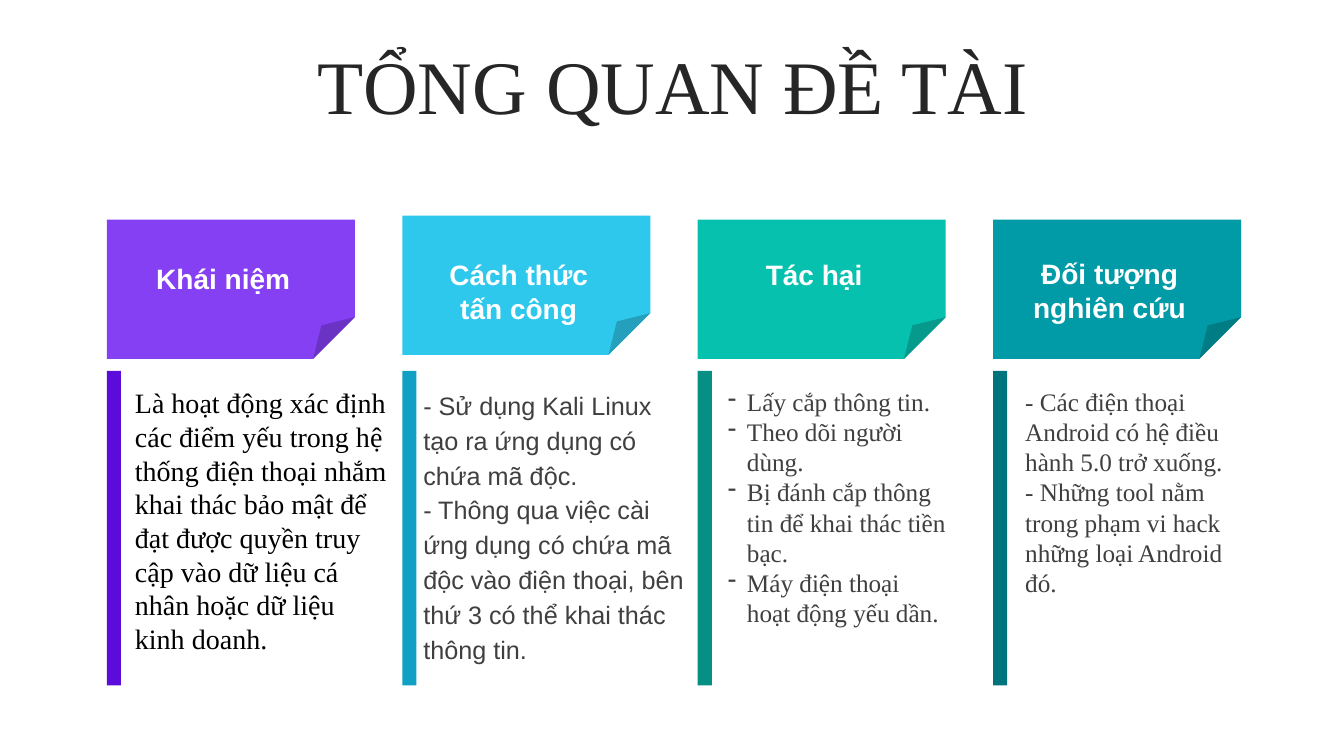
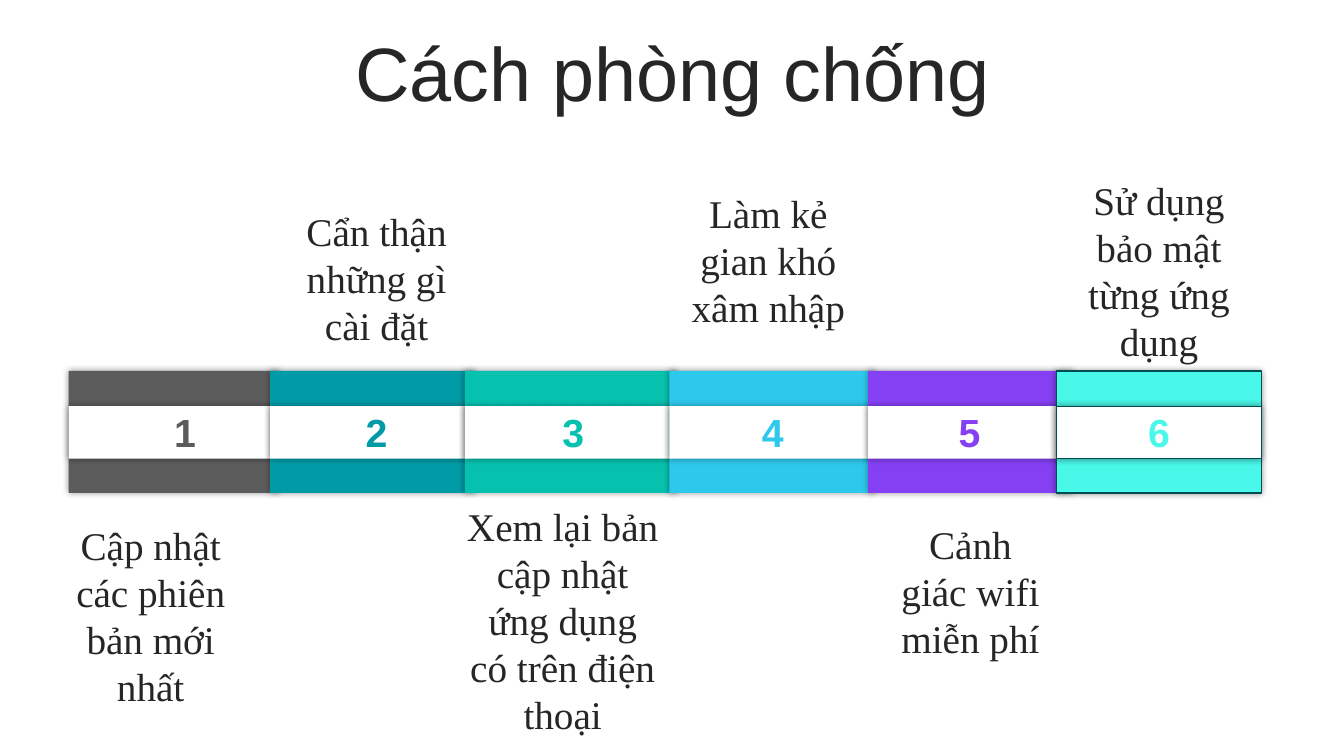
from dataclasses import dataclass

from lxml import etree
from pptx import Presentation
from pptx.dml.color import RGBColor
from pptx.enum.shapes import MSO_SHAPE
from pptx.enum.text import MSO_ANCHOR, PP_ALIGN
from pptx.oxml.ns import qn
from pptx.util import Inches, Pt

RECTANGLE = MSO_SHAPE.RECTANGLE
FOLDED_CORNER = MSO_SHAPE.FOLDED_CORNER
LEFT = PP_ALIGN.LEFT
CENTER = PP_ALIGN.CENTER
TOP = MSO_ANCHOR.TOP
MIDDLE = MSO_ANCHOR.MIDDLE
BLANK_LAYOUT = 6


@dataclass(frozen=True)
class Theme:
    sans: str = "Arial"
    serif: str = "Times New Roman"
    white: str = "FFFFFF"
    black: str = "000000"
    ink: str = "262626"
    body: str = "3F3F3F"
    gray: str = "5C5C5C"
    purple: str = "8540F4"
    dark_purple: str = "5B0CDA"
    sky: str = "2EC8ED"
    dark_sky: str = "10A0C3"
    green: str = "07C1AF"
    dark_green: str = "059083"
    teal: str = "019BA7"
    dark_teal: str = "00747D"
    mint: str = "4AF8E9"
    outline: str = "004D53"
    title_size: int = 54
    step_size: int = 28
    heading_size: int = 20
    body_size: int = 18


THEME = Theme()


class Deck:
    def __init__(self, theme):
        self.theme = theme
        self.presentation = Presentation()
        self.presentation.slide_width = Inches(13.33)
        self.presentation.slide_height = Inches(7.5)
        self.slide = None

    def add_slide(self, title, font, title_top):
        layout = self.presentation.slide_layouts[BLANK_LAYOUT]
        self.slide = self.presentation.slides.add_slide(layout)
        self.text((0.34, title_top, 12.66, 0.79), [title], font, self.theme.title_size,
                  self.theme.ink, align=CENTER, anchor=MIDDLE, spacing=0.9)

    def text(self, box, lines, font, size, color, bold=False, align=LEFT,
             anchor=TOP, spacing=None, dashed=False):
        shape = self.slide.shapes.add_textbox(*map(Inches, box))
        frame = shape.text_frame
        frame.word_wrap = True
        frame.vertical_anchor = anchor
        for index, line in enumerate(lines):
            paragraph = frame.add_paragraph() if index else frame.paragraphs[0]
            paragraph.text = line
            paragraph.alignment = align
            if spacing:
                paragraph.line_spacing = spacing
            if dashed:
                self.add_dash(paragraph)
            paragraph.font.name = font
            paragraph.font.size = Pt(size)
            paragraph.font.bold = bold
            paragraph.font.color.rgb = RGBColor.from_string(color)

    def add_dash(self, paragraph):
        properties = paragraph._p.get_or_add_pPr()
        indent = Inches(0.19)
        properties.set("marL", str(indent))
        properties.set("indent", str(-indent))
        etree.SubElement(properties, qn("a:buChar"), char="-")

    def block(self, box, fill, kind=RECTANGLE, line=None, shadow=False):
        shape = self.slide.shapes.add_shape(kind, *map(Inches, box))
        shape.fill.solid()
        shape.fill.fore_color.rgb = RGBColor.from_string(fill)
        if line:
            shape.line.color.rgb = RGBColor.from_string(line)
            shape.line.width = Pt(1)
        else:
            shape.line.fill.background()
        shape.shadow.inherit = False
        if shadow:
            self.add_glow(shape)
        return shape

    def add_glow(self, shape):
        effects = shape._element.spPr.find(qn("a:effectLst"))
        outer = etree.SubElement(effects, qn("a:outerShdw"), blurRad=str(Pt(5)),
                                 dist="0", dir="0", algn="ctr", rotWithShape="0")
        color = etree.SubElement(outer, qn("a:srgbClr"), val=self.theme.black)
        etree.SubElement(color, qn("a:alpha"), val="40000")

    def set_fold(self, shape, ratio):
        geometry = shape._element.spPr.find(qn("a:prstGeom"))
        guides = geometry.find(qn("a:avLst"))
        if guides is None:
            guides = etree.SubElement(geometry, qn("a:avLst"))
        etree.SubElement(guides, qn("a:gd"), name="adj", fmla=f"val {round(ratio * 100000)}")

    def card(self, left, top, fill, bar_fill, heading, heading_top):
        card = self.block((left, top, 2.46, 1.38), fill, FOLDED_CORNER)
        self.set_fold(card, 0.3)
        self.block((left, 3.68, 0.14, 3.12), bar_fill)
        self.text((left + 0.14, heading_top, 2.03, 0.77), [heading], self.theme.sans,
                  self.theme.heading_size, self.theme.white, bold=True, align=CENTER)

    def step(self, number, left, width, color, number_left, caption, caption_box, line=None):
        theme = self.theme
        self.block((left, 3.68, width, 1.21), color, line=line, shadow=True)
        self.block((left, 4.03, width, 0.52), theme.white, line=line, shadow=True)
        self.text((number_left, 4, 1.17, 0.57), [str(number)], theme.sans,
                  theme.step_size, color, bold=True, align=CENTER)
        self.text(caption_box, [caption], theme.serif, theme.step_size, theme.ink, align=CENTER)


def build_overview(deck):
    theme = deck.theme
    deck.add_slide("TỔNG QUAN ĐỀ TÀI", theme.serif, 0.5)
    cards = [
        (2.18, theme.purple, theme.dark_purple, "Khái niệm", 2.55),
        (2.14, theme.sky, theme.dark_sky, "Cách thức tấn công", 2.51),
        (2.18, theme.green, theme.dark_green, "Tác hại", 2.51),
        (2.18, theme.teal, theme.dark_teal, "Đối tượng nghiên cứu", 2.5),
    ]
    for column, (top, *details) in enumerate(cards):
        deck.card(1.06 + 2.93 * column, top, *details)

    deck.text((1.24, 3.78, 2.74, 2.79), [
        "Là hoạt động xác định các điểm yếu trong hệ thống điện thoại nhắm khai thác "
        "bảo mật để đạt được quyền truy cập vào dữ liệu cá nhân hoặc dữ liệu kinh doanh.",
    ], theme.serif, theme.heading_size, theme.black)
    deck.text((4.1, 3.78, 2.84, 3.19), [
        "- Sử dụng Kali Linux tạo ra ứng dụng có chứa mã độc.",
        "- Thông qua việc cài ứng dụng có chứa mã độc vào điện thoại, "
        "bên thứ 3 có thể khai thác thông tin.",
    ], theme.sans, theme.body_size, theme.body, spacing=1.15)
    deck.text((7.12, 3.78, 2.38, 2.52), [
        "Lấy cắp thông tin.",
        "Theo dõi người dùng.",
        "Bị đánh cắp thông tin để khai thác tiền bạc.",
        "Máy điện thoại hoạt động yếu dần.",
    ], theme.serif, theme.body_size, theme.body, dashed=True)
    deck.text((10.07, 3.78, 2.32, 2.22), [
        "- Các điện thoại Android có hệ điều hành 5.0 trở xuống.",
        "- Những tool nằm trong phạm vi hack những loại Android đó.",
    ], theme.serif, theme.body_size, theme.body)


def build_prevention(deck):
    theme = deck.theme
    deck.add_slide("Cách phòng chống", theme.sans, 0.37)
    steps = [
        (0.68, 2.08, theme.gray, 1.25, "Cập nhật các phiên bản mới nhất",
         (0.41, 5.12, 2.17, 1.99)),
        (2.68, 2.03, theme.teal, 3.15, "Cẩn thận những gì cài đặt",
         (2.88, 2.01, 1.71, 1.51)),
        (4.61, 2.1, theme.green, 5.1, "Xem lại bản cập nhật ứng dụng có trên điện thoại",
         (4.52, 4.93, 2.12, 2.46)),
        (6.64, 2.03, theme.sky, 7.08, "Làm kẻ gian khó xâm nhập",
         (6.63, 1.83, 1.98, 1.51)),
        (8.61, 2.03, theme.purple, 9.03, "Cảnh giác wifi miễn phí",
         (8.77, 5.11, 1.71, 1.51)),
        (10.48, 2.03, theme.mint, 10.91, "Sử dụng bảo mật từng ứng dụng",
         (10.48, 1.7, 2.03, 1.99), theme.outline),
    ]
    for number, step in enumerate(steps, start=1):
        deck.step(number, *step)


def main():
    deck = Deck(THEME)
    build_overview(deck)
    build_prevention(deck)
    deck.presentation.save("out.pptx")


if __name__ == "__main__":
    main()
